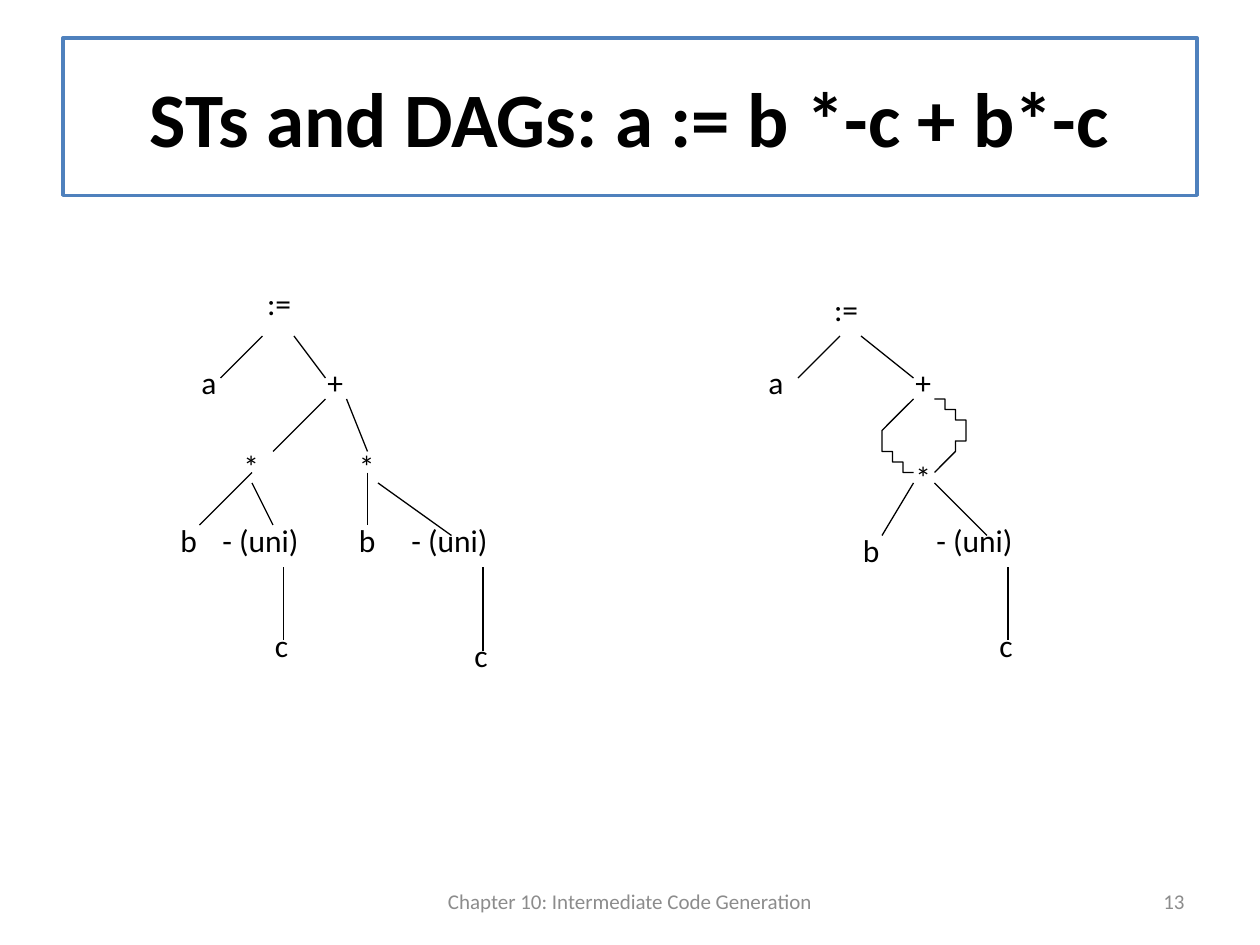
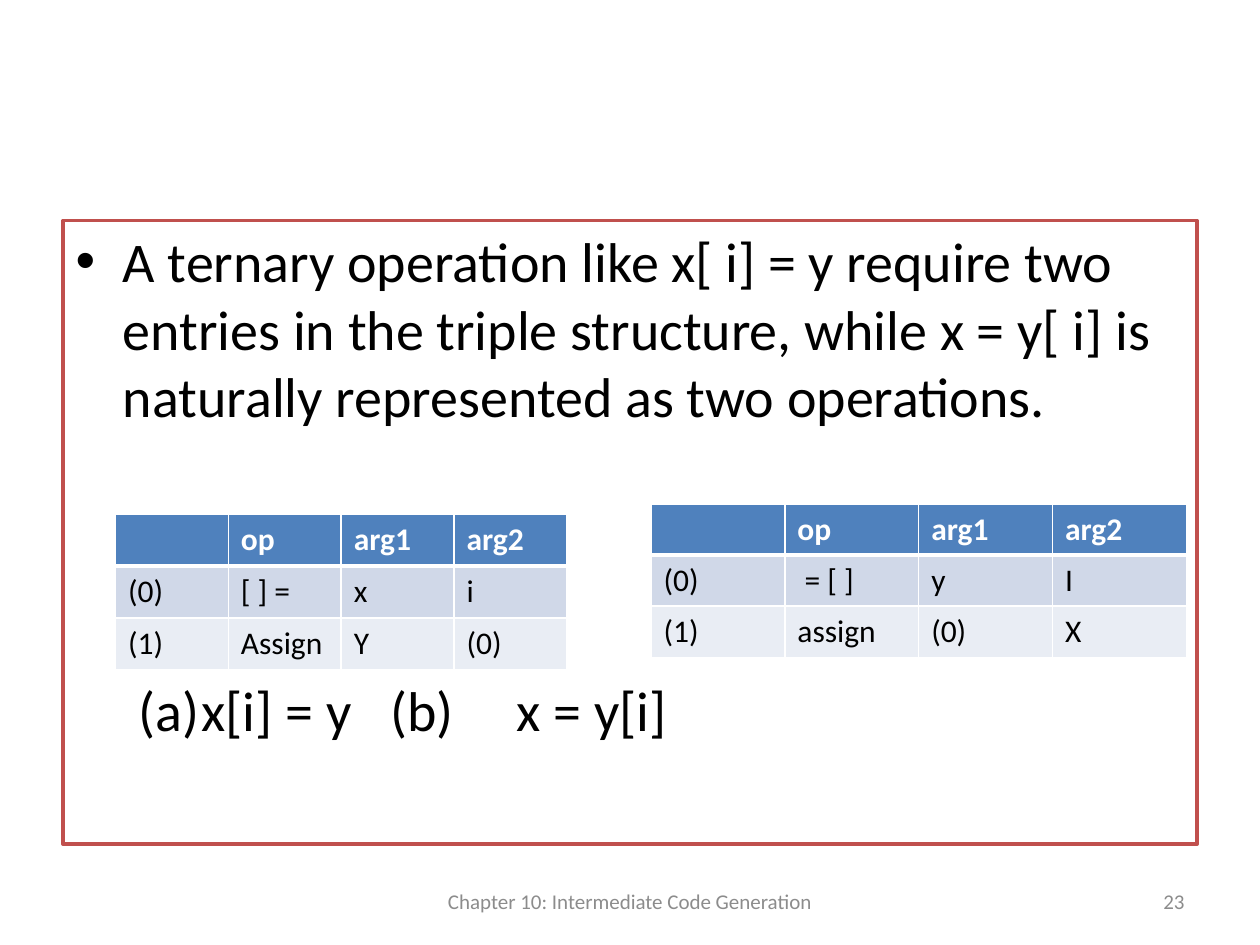
from lxml import etree
from pptx import Presentation
from pptx.dml.color import RGBColor
from pptx.enum.shapes import MSO_CONNECTOR
from pptx.enum.text import MSO_ANCHOR, MSO_AUTO_SIZE, PP_ALIGN
from pptx.oxml.ns import qn
from pptx.util import Emu, Inches, Pt

STRAIGHT = MSO_CONNECTOR.STRAIGHT
MIDDLE = MSO_ANCHOR.MIDDLE
NO_AUTOFIT = MSO_AUTO_SIZE.NONE
LEFT, CENTER, RIGHT = PP_ALIGN.LEFT, PP_ALIGN.CENTER, PP_ALIGN.RIGHT

BLACK = RGBColor(0x00, 0x00, 0x00)
WHITE = RGBColor(0xFF, 0xFF, 0xFF)
BLUE = RGBColor(0x4F, 0x81, 0xBD)
RED = RGBColor(0xC0, 0x50, 0x4D)
GRAY = RGBColor(0x8C, 0x8C, 0x8C)
BANDS = [RGBColor(0xD0, 0xD8, 0xE8), RGBColor(0xE9, 0xED, 0xF4)]
FONT = "Calibri"
FOOTER = "Chapter 10: Intermediate Code Generation"

SLIDE_WIDTH, SLIDE_HEIGHT = Inches(10), Inches(7.5)
CELL = SLIDE_WIDTH // 120  # the trees sit on a grid of 120 columns by 90 rows
CURVE_STEPS = 12
TITLE_ONLY, TITLE_AND_CONTENT = 5, 1

LABEL_WIDTHS = {":=": 5.75, "a": 4.25, "b": 4.5, "c": 4.25, "+": 4.75, "*": 4.5, "- (uni)": 12.5}
SYNTAX_TREE_LABELS = [
    (":=", 24.25, 26.5), ("a", 18, 34), ("+", 30, 34), ("*", 22, 42), ("*", 33, 42),
    ("b", 16, 49), ("- (uni)", 20, 49), ("b", 33, 49), ("- (uni)", 38, 49),
    ("c", 25, 59), ("c", 44, 60),
]
SYNTAX_TREE_EDGES = [
    (25, 32, 21, 36), (28, 32, 31, 36), (31, 38, 26, 43), (33, 38, 35, 43),
    (24, 45, 19, 50), (24, 46, 26, 50), (35, 45, 35, 50), (36, 46, 43, 51),
    (27, 54, 27, 61), (46, 54, 46, 62),
]
DAG_LABELS = [
    (":=", 78.25, 27), ("a", 72, 34), ("+", 86, 34), ("*", 86, 43),
    ("b", 81, 50), ("- (uni)", 88, 49), ("c", 94, 59),
]
DAG_EDGES = [
    (80, 32, 76, 36), (82, 32, 87, 36), (87, 46, 84, 51), (89, 46, 94, 51), (96, 54, 96, 61),
]
# Each curve: a start, then three Bezier points per segment.
DAG_CURVES = [
    [(87, 38), (85.5, 39.4), (84, 40.8), (84, 42), (84, 43.2), (85.5, 44), (87, 45)],
    [(89, 38), (90.5, 38.9), (92, 39.8), (92, 41), (92, 42.2), (89.5, 44.3), (89, 45)],
]

TRIPLE_HEADER = ["", "op", "arg1", "arg2"]
STORE_TRIPLES = [["(0)", "[ ] =", "x", "i"], ["(1)", "Assign", "Y", "(0)"]]
LOAD_TRIPLES = [["(0)", " = [ ]", "y", "I"], ["(1)", "assign", "(0)", "X"]]


def format_text(text_frame, size, color, bold=False, alignment=LEFT):
    for paragraph in text_frame.paragraphs:
        paragraph.alignment = alignment
        for run in paragraph.runs:
            run.font.name = FONT
            run.font.size = Pt(size)
            run.font.bold = bold
            run.font.color.rgb = color


def frame_placeholder(shape, color):
    shape.fill.solid()
    shape.fill.fore_color.rgb = WHITE
    shape.line.color.rgb = color
    shape.line.width = Pt(2)
    shape.text_frame.auto_size = NO_AUTOFIT


def add_footer(slide, number):
    for text, left, width, alignment in [(FOOTER, 41, 38, CENTER), (number, 86, 28, RIGHT)]:
        box = slide.shapes.add_textbox(left * CELL, Inches(6.95), width * CELL, Inches(0.4))
        box.text_frame.word_wrap = True
        box.text_frame.vertical_anchor = MIDDLE
        box.text_frame.text = text
        format_text(box.text_frame, 12, GRAY, alignment=alignment)


def add_label(slide, text, column, row):
    box = slide.shapes.add_textbox(
        Emu(round(column * CELL)), Emu(round(row * CELL)),
        Emu(round(LABEL_WIDTHS[text] * CELL)), 6 * CELL)
    box.text_frame.word_wrap = False
    box.text_frame.text = text
    format_text(box.text_frame, 18, BLACK)


def style_edge(line):
    line.color.rgb = BLACK
    line.width = Pt(0.75)


def add_edge(slide, *ends):
    connector = slide.shapes.add_connector(STRAIGHT, *(end * CELL for end in ends))
    style_edge(connector.line)
    etree.SubElement(connector._element.spPr, qn("a:effectLst"))


def bezier_points(start, first, second, end):
    for step in range(1, CURVE_STEPS + 1):
        t = step / CURVE_STEPS
        yield tuple(
            (1 - t) ** 3 * a + 3 * (1 - t) ** 2 * t * b + 3 * (1 - t) * t ** 2 * c + t ** 3 * d
            for a, b, c, d in zip(start, first, second, end))


def add_curve(slide, controls):
    points = [
        point
        for index in range(0, len(controls) - 1, 3)
        for point in bezier_points(*controls[index:index + 4])]
    builder = slide.shapes.build_freeform(*controls[0], scale=CELL)
    builder.add_line_segments(points, close=False)
    curve = builder.convert_to_shape()
    curve.shadow.inherit = False
    curve.fill.background()
    style_edge(curve.line)


def add_graph(slide, labels, edges, curves=()):
    for label in labels:
        add_label(slide, *label)
    for edge in edges:
        add_edge(slide, *edge)
    for curve in curves:
        add_curve(slide, curve)


def set_cell_borders(cell, top, bottom):
    properties = cell._tc.get_or_add_tcPr()
    for side, width in [("L", 1), ("R", 1), ("T", top), ("B", bottom)]:
        border = etree.SubElement(properties, qn(f"a:ln{side}"), w=str(Pt(width)))
        fill = etree.SubElement(border, qn("a:solidFill"))
        etree.SubElement(fill, qn("a:srgbClr"), val=str(WHITE))


def add_triple_table(slide, triples, left, top, width, row_height):
    rows = [TRIPLE_HEADER] + triples
    table = slide.shapes.add_table(
        len(rows), len(TRIPLE_HEADER), left * CELL, top * CELL,
        width * CELL, Inches(row_height * len(rows))).table
    for row_index, row in enumerate(rows):
        is_header = row_index == 0
        for column_index, text in enumerate(row):
            cell = table.cell(row_index, column_index)
            set_cell_borders(cell, 3 if row_index == 1 else 1, 3 if is_header else 1)
            cell.fill.solid()
            cell.fill.fore_color.rgb = BLUE if is_header else BANDS[row_index - 1]
            cell.text_frame.text = text
            format_text(cell.text_frame, 18, WHITE if is_header else BLACK, is_header)


def set_caption_tabs(paragraph, stops):
    """Drop the bullet and indent, and place tab stops given in inches."""
    properties = paragraph._p.get_or_add_pPr()
    properties.set("marL", "0")
    properties.set("indent", "0")
    etree.SubElement(properties, qn("a:buNone"))
    tabs = etree.SubElement(properties, qn("a:tabLst"))
    for stop in stops:
        etree.SubElement(tabs, qn("a:tab"), pos=str(Inches(stop)), algn="l")


def build_graph_slide(presentation):
    slide = presentation.slides.add_slide(presentation.slide_layouts[TITLE_ONLY])
    title = slide.shapes.title
    frame_placeholder(title, BLUE)
    title.text_frame.text = "STs and DAGs: a := b *-c + b*-c"
    format_text(title.text_frame, 44, BLACK, True, CENTER)
    add_graph(slide, SYNTAX_TREE_LABELS, SYNTAX_TREE_EDGES)
    add_graph(slide, DAG_LABELS, DAG_EDGES, DAG_CURVES)
    add_footer(slide, "13")


def build_triples_slide(presentation):
    slide = presentation.slides.add_slide(presentation.slide_layouts[TITLE_AND_CONTENT])
    title = slide.shapes.title._element
    title.getparent().remove(title)
    body = slide.placeholders[1]
    frame_placeholder(body, RED)
    text_frame = body.text_frame
    text_frame.text = (
        "A ternary operation like x[ i] = y require two entries in the triple structure, "
        "while x = y[ i] is naturally represented as two operations.")
    text_frame.paragraphs[0].space_before = Pt(0)
    captions = text_frame.add_paragraph()
    captions.text = "\t(a)\tx[i] = y\t(b)\tx = y[i]"
    set_caption_tabs(captions, [1.38, 2.06, 5.77, 6.46])
    captions.space_before = Pt(141)
    format_text(text_frame, 32, BLACK)
    add_triple_table(slide, STORE_TRIPLES, 11, 49, 43, 0.41)
    add_triple_table(slide, LOAD_TRIPLES, 62, 48, 51, 0.4)
    add_footer(slide, "23")


def main():
    presentation = Presentation()
    presentation.slide_width, presentation.slide_height = SLIDE_WIDTH, SLIDE_HEIGHT
    build_graph_slide(presentation)
    build_triples_slide(presentation)
    presentation.save("out.pptx")


if __name__ == "__main__":
    main()
